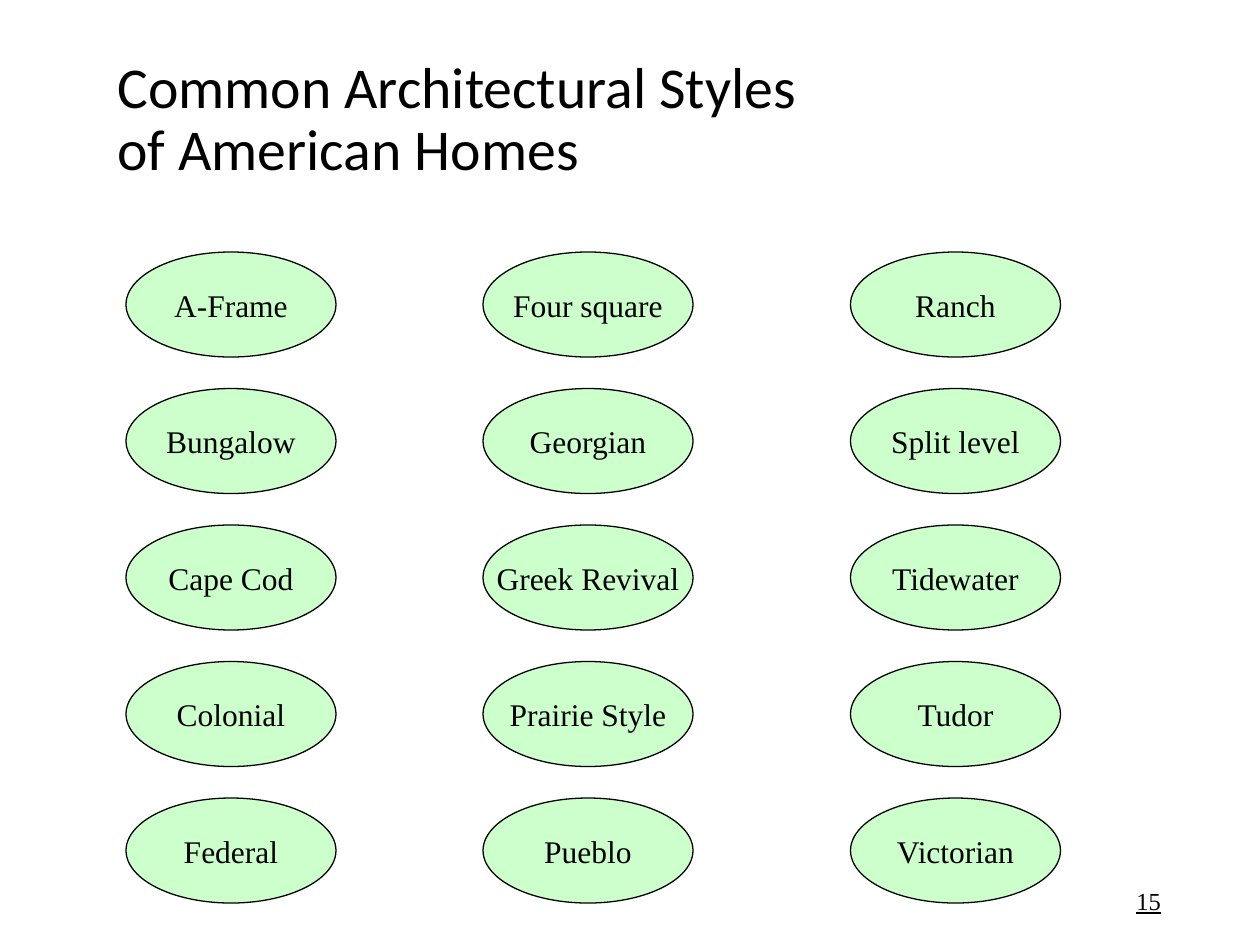
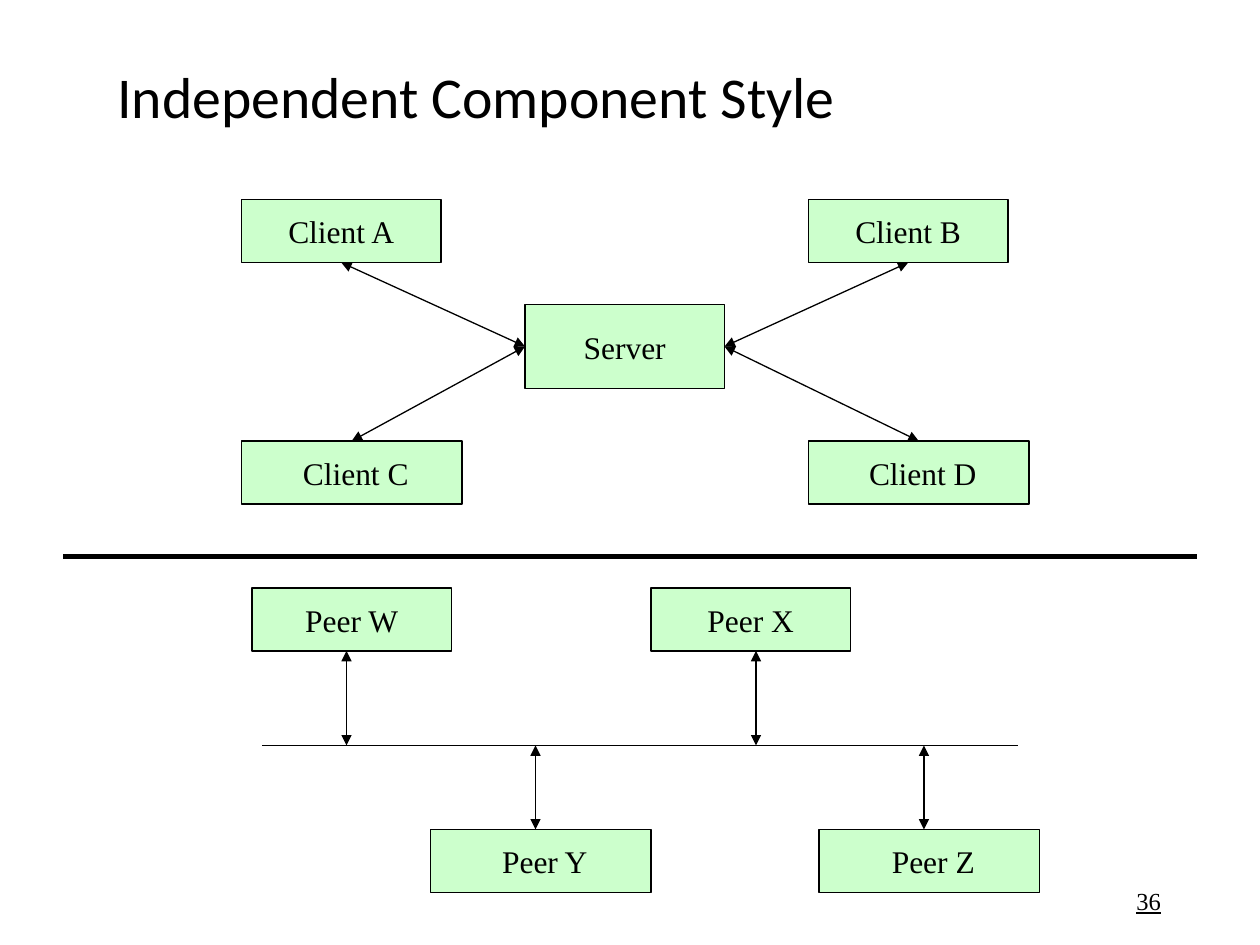
from dataclasses import dataclass

from lxml.etree import SubElement
from pptx import Presentation
from pptx.dml.color import RGBColor
from pptx.enum.shapes import MSO_CONNECTOR, MSO_SHAPE
from pptx.enum.text import MSO_ANCHOR as Anchor, PP_ALIGN as Align
from pptx.oxml.ns import qn
from pptx.util import Emu, Pt

EMU_PER_PX = 9525
TOP, LEFT, BOTTOM, RIGHT = range(4)


@dataclass(frozen=True)
class Theme:
    ink: RGBColor = RGBColor(0x00, 0x00, 0x00)
    paper: RGBColor = RGBColor(0xFF, 0xFF, 0xFF)
    mint: RGBColor = RGBColor(0xCC, 0xFF, 0xCC)
    title_font: str = "Calibri"
    body_font: str = "Times New Roman"
    title_size: float = 33
    label_size: float = 18
    number_size: float = 14
    thin: float = 0.75
    thick: float = 3


THEME = Theme()


def px(*lengths):
    return [Emu(length * EMU_PER_PX) for length in lengths]


def style_text(frame, font_name, size, align):
    """Give every paragraph of a frame the same look, centred vertically."""
    frame.vertical_anchor = Anchor.MIDDLE
    for paragraph in frame.paragraphs:
        paragraph.alignment = align
        paragraph.font.name = font_name
        paragraph.font.size = Pt(size)
        paragraph.font.color.rgb = THEME.ink


def add_text(slide, text, box, font_name, size, align):
    frame = slide.shapes.add_textbox(*px(*box)).text_frame
    frame.word_wrap = True
    frame.text = text
    style_text(frame, font_name, size, align)
    return frame.paragraphs[0]


def add_page(deck, title, title_top, number):
    """Add a blank slide with its title and underlined page number."""
    slide = deck.slides.add_slide(deck.slide_layouts[6])
    slide.background.fill.solid()
    slide.background.fill.fore_color.rgb = THEME.paper
    heading = add_text(slide, title, (80, title_top, 816, 120),
                       THEME.title_font, THEME.title_size, Align.LEFT)
    heading.line_spacing = 0.9
    page_number = add_text(slide, number, (678, 667, 216, 38),
                           THEME.body_font, THEME.number_size, Align.RIGHT)
    page_number.font.underline = True
    return slide


def add_node(slide, kind, label, box, nudge=0):
    """Add a labelled outline; nudge widens the left inset."""
    node = slide.shapes.add_shape(kind, *px(*box))
    node.shadow.inherit = False
    node.fill.solid()
    node.fill.fore_color.rgb = THEME.mint
    node.line.color.rgb = THEME.ink
    node.line.width = Pt(THEME.thin)
    frame = node.text_frame
    frame.word_wrap = False
    frame.margin_left += nudge * EMU_PER_PX
    frame.text = label
    style_text(frame, THEME.body_font, THEME.label_size, Align.CENTER)
    return node


def add_line(slide, start=(0, 0), end=(0, 0), width=THEME.thin, arrows=False):
    line = slide.shapes.add_connector(MSO_CONNECTOR.STRAIGHT, *px(*start, *end))
    line.line.color.rgb = THEME.ink
    line.line.width = Pt(width)
    properties = line.element.spPr
    if arrows:
        outline = properties.find(qn("a:ln"))
        for tip in ("a:headEnd", "a:tailEnd"):
            SubElement(outline, qn(tip), type="triangle")
    SubElement(properties, qn("a:effectLst"))
    return line


def join(slide, source, source_side, target, target_side):
    link = add_line(slide, arrows=True)
    link.begin_connect(source, source_side)
    link.end_connect(target, target_side)


def add_home_styles(deck):
    slide = add_page(deck, "Common Architectural Styles\vof American Homes", 32, "15")
    columns = {
        96: ("A-Frame", "Bungalow", "Cape Cod", "Colonial", "Federal"),
        368: ("Four square", "Georgian", "Greek Revival", "Prairie Style", "Pueblo"),
        648: ("Ranch", "Split level", "Tidewater", "Tudor", "Victorian"),
    }
    for left, styles in columns.items():
        for row, style in enumerate(styles):
            add_node(slide, MSO_SHAPE.OVAL, style, (left, 192 + 104 * row, 160, 80))


def add_component_style(deck):
    slide = add_page(deck, "Independent Component Style", 16, "36")

    server = add_node(slide, MSO_SHAPE.RECTANGLE, "Server", (400, 232, 152, 64))
    client_rows = (
        (152, 152, 0, BOTTOM, ("Client A", "Client B")),
        (336, 168, 6, TOP, ("Client C", "Client D")),
    )
    for top, width, nudge, client_side, names in client_rows:
        for name, left, server_side in zip(names, (184, 616), (LEFT, RIGHT)):
            client = add_node(slide, MSO_SHAPE.RECTANGLE, name,
                              (left, top, width, 48), nudge)
            join(slide, server, server_side, client, client_side)

    add_line(slide, (48, 424), (912, 424), THEME.thick)

    bus_y = 568
    add_line(slide, (200, bus_y), (776, bus_y))
    peer_rows = (
        (448, 152, 0, 496, (("Peer W", 192, 264), ("Peer X", 496, 576))),
        (632, 168, 6, 632, (("Peer Y", 328, 408), ("Peer Z", 624, 704))),
    )
    for top, width, nudge, edge_y, peers in peer_rows:
        for name, left, link_x in peers:
            add_node(slide, MSO_SHAPE.RECTANGLE, name, (left, top, width, 48), nudge)
            add_line(slide, (link_x, edge_y), (link_x, bus_y), arrows=True)


def main():
    deck = Presentation()
    deck.slide_width, deck.slide_height = px(960, 720)
    add_home_styles(deck)
    add_component_style(deck)
    deck.save("out.pptx")


if __name__ == "__main__":
    main()
